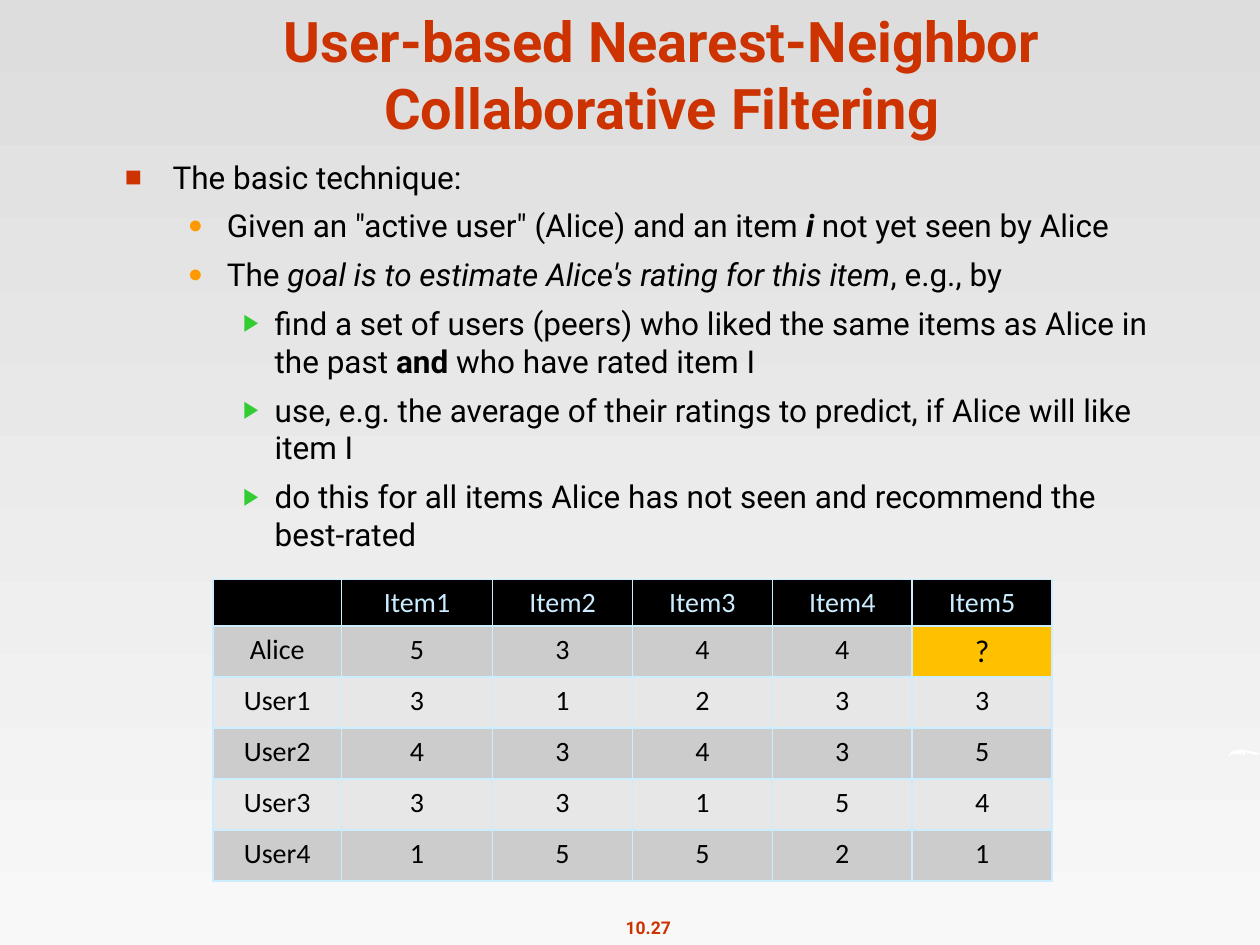
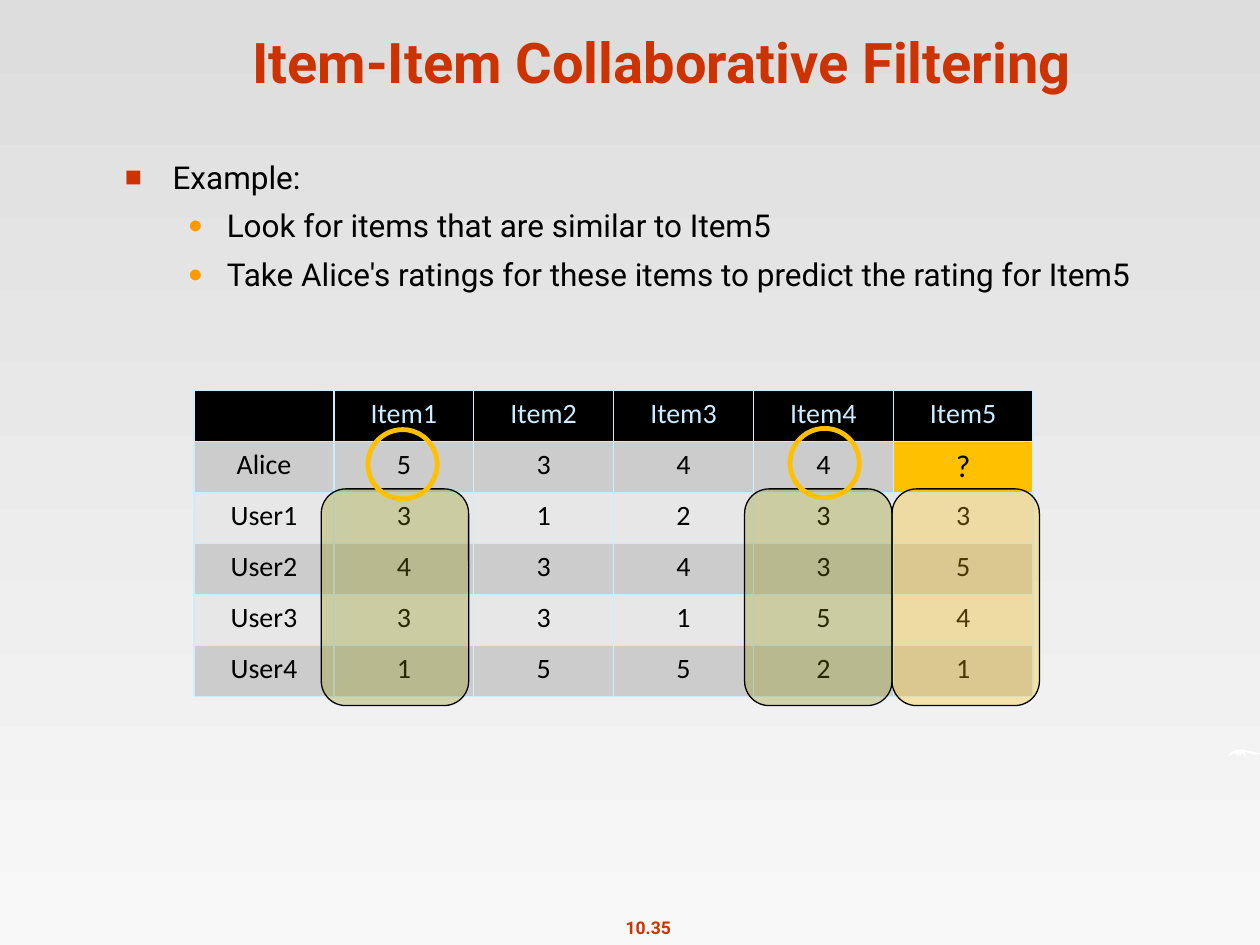
from lxml.etree import SubElement
from pptx import Presentation
from pptx.dml.color import RGBColor
from pptx.enum.shapes import MSO_SHAPE as Preset
from pptx.enum.text import MSO_ANCHOR as Anchor, MSO_AUTO_SIZE as AutoSize, PP_ALIGN as Align
from pptx.oxml.ns import qn
from pptx.util import Inches, Pt

RED = RGBColor(0xCC, 0x33, 0x00)
ORANGE = RGBColor(0xFF, 0x99, 0x00)
GREEN = RGBColor(0x33, 0xCC, 0x33)
AMBER = RGBColor(0xFF, 0xC0, 0x00)
OLIVE = RGBColor(0x8B, 0x8B, 0x00)
BLACK = RGBColor(0x00, 0x00, 0x00)
WHITE = RGBColor(0xFF, 0xFF, 0xFF)
ICE = RGBColor(0xCC, 0xEC, 0xFF)
DARK_BAND = RGBColor(0xCC, 0xCC, 0xCC)
LIGHT_BAND = RGBColor(0xE7, 0xE7, 0xE7)
BACK_TOP = RGBColor(0xDD, 0xDD, 0xDD)
BACK_BOTTOM = RGBColor(0xF8, 0xF8, 0xF8)

TEXT_FONT = "Roboto"
TABLE_FONT = "Calibri"

BULLETS = [
    ("■", RED, 90, 0.38, 0.38),
    ("●", ORANGE, 80, 0.81, 0.31),
    ("▶", GREEN, 75, 1.19, 0.25),
]

RATINGS = [
    ["", "Item1", "Item2", "Item3", "Item4", "Item5"],
    ["Alice", "5", "3", "4", "4", "?"],
    ["User1", "3", "1", "2", "3", "3"],
    ["User2", "4", "3", "4", "3", "5"],
    ["User3", "3", "3", "1", "5", "4"],
    ["User4", "1", "5", "5", "2", "1"],
]

SWOOSH = [
    (9.75, 6.01), (9.76, 5.98), (9.79, 5.96), (9.83, 5.95), (9.87, 5.95),
    (9.91, 5.96), (9.96, 5.97), (10, 5.98), (9.99, 5.99), (9.96, 5.99),
    (9.92, 5.98), (9.88, 5.97), (9.88, 6), (9.85, 5.97), (9.85, 6),
    (9.82, 5.97), (9.83, 6), (9.8, 5.98), (9.77, 5.99),
]


def place(shape, left, top, width, height):
    shape.left, shape.top = Inches(left), Inches(top)
    shape.width, shape.height = Inches(width), Inches(height)


def add_span(para, text, size, color, font=TEXT_FONT, bold=False, italic=False):
    span = para.add_run()
    span.text = text
    span.font.size = Pt(size)
    span.font.name = font
    span.font.bold = bold
    span.font.italic = italic
    span.font.color.rgb = color


def set_background(master):
    fill = master.background.fill
    fill.gradient()
    fill.gradient_angle = 270
    for stop, color in zip(fill.gradient_stops, (BACK_TOP, BACK_BOTTOM)):
        stop.color.rgb = color


def add_swoosh(page):
    points = [(Inches(x), Inches(y)) for x, y in SWOOSH]
    builder = page.shapes.build_freeform(*points[0])
    builder.add_line_segments(points[1:], close=True)
    swoosh = builder.convert_to_shape()
    swoosh.shadow.inherit = False
    swoosh.fill.solid()
    swoosh.fill.fore_color.rgb = WHITE
    swoosh.line.fill.background()


def add_page_number(page, number):
    box = page.shapes.add_textbox(Inches(4.86), Inches(7.23), Inches(0.57), Inches(0.27))
    box.text_frame.word_wrap = False
    para = box.text_frame.paragraphs[0]
    para.alignment = Align.CENTER
    add_span(para, number, 10, RED, bold=True)


def set_title(page, text, top):
    title = page.shapes.title
    place(title, 0.84, top, 8.83, 0.67)
    frame = title.text_frame
    frame.auto_size = AutoSize.NONE
    frame.vertical_anchor = Anchor.BOTTOM
    para = frame.paragraphs[0]
    para.alignment = Align.CENTER
    add_span(para, text, 32, RED, bold=True)


def add_page(deck, title, title_top, number):
    page = deck.slides.add_slide(deck.slide_layouts[1])
    add_swoosh(page)
    add_page_number(page, number)
    set_title(page, title, title_top)
    return page


def set_bullet(para, level):
    symbol, color, percent, margin, hanging = BULLETS[level]
    para.level = level
    para.space_before = Pt(6.3)
    props = para._p.get_or_add_pPr()
    props.set("marL", str(Inches(margin)))
    props.set("indent", str(-Inches(hanging)))
    SubElement(SubElement(props, qn("a:buClr")), qn("a:srgbClr"), val=str(color))
    SubElement(props, qn("a:buSzPct"), val=str(percent * 1000))
    SubElement(props, qn("a:buFont"), typeface="Arial")
    SubElement(props, qn("a:buChar"), char=symbol)


def fill_list(page, items):
    body = page.placeholders[1]
    place(body, 0.89, 1.2, 8.38, 5.36)
    frame = body.text_frame
    frame.auto_size = AutoSize.NONE
    for index, (level, *spans) in enumerate(items):
        para = frame.add_paragraph() if index else frame.paragraphs[0]
        set_bullet(para, level)
        for text, style in spans:
            add_span(para, text, 18, BLACK, bold="b" in style, italic="i" in style)


def set_borders(cell):
    props = cell._tc.get_or_add_tcPr()
    for index, side in enumerate(("a:lnL", "a:lnR", "a:lnT", "a:lnB")):
        border = props.makeelement(qn(side), {"w": str(Pt(1))})
        SubElement(SubElement(border, qn("a:solidFill")), qn("a:srgbClr"), val=str(ICE))
        props.insert(index, border)


def format_cell(cell, text, row):
    unknown = text == "?"
    band = BLACK if row == 0 else DARK_BAND if row % 2 else LIGHT_BAND
    cell.fill.solid()
    cell.fill.fore_color.rgb = AMBER if unknown else band
    set_borders(cell)
    para = cell.text_frame.paragraphs[0]
    para.alignment = Align.CENTER
    if text:
        add_span(para, text, 18 if unknown else 16, BLACK if row else ICE, TABLE_FONT)
    else:
        para.font.size = Pt(16)


def add_ratings(page, left, top, widths, header_height):
    heights = [header_height] + [0.405] * (len(RATINGS) - 1)
    frame = page.shapes.add_table(
        len(heights), len(widths), Inches(left), Inches(top),
        Inches(sum(widths)), Inches(sum(heights)))
    table = frame.table
    for column, width in zip(table.columns, widths):
        column.width = Inches(width)
    for row, height in zip(table.rows, heights):
        row.height = Inches(height)
    for row, texts in enumerate(RATINGS):
        for column, text in enumerate(texts):
            format_cell(table.cell(row, column), text, row)


def add_outline(page, preset, left, top, width, height, color, weight):
    shape = page.shapes.add_shape(
        preset, Inches(left), Inches(top), Inches(width), Inches(height))
    shape.shadow.inherit = False
    shape.fill.background()
    shape.line.color.rgb = color
    shape.line.width = Pt(weight)
    return shape


def add_column_highlight(page, left, color):
    shape = add_outline(page, Preset.ROUNDED_RECTANGLE, left, 3.88, 1.17, 1.72, BLACK, 0.75)
    shape.fill.solid()
    shape.fill.fore_color.rgb = color
    tint = shape.element.spPr.find(qn("a:solidFill")).find(qn("a:srgbClr"))
    SubElement(tint, qn("a:alpha"), val="29000")


def add_rating_ring(page, left, top):
    add_outline(page, Preset.OVAL, left, top, 0.55, 0.55, AMBER, 2.75)


def build_user_based(deck):
    page = add_page(deck, "User-based Nearest-Neighbor Collaborative Filtering", 0.5, "10.27")
    fill_list(page, [
        (0, ("The basic technique:", "")),
        (1, ("Given an \"active user\" (Alice) and an item ", ""), ("i", "bi"),
         (" not yet seen by Alice", "")),
        (1, ("The ", ""), ("goal is to estimate Alice's rating for this item", "i"),
         (", e.g., by", "")),
        (2, ("find a set of users (peers) who liked the same items as Alice in the past ", ""),
         ("and ", "b"), ("who have rated item I", "")),
        (2, ("use, e.g. the average of their ratings to predict, "
             "if Alice will like item I", "")),
        (2, ("do this for all items Alice has not seen and recommend the best-rated", "")),
    ])
    add_ratings(page, 1.69, 4.6, [1.02, 1.2] + [1.11] * 4, 0.37)


def build_item_item(deck):
    page = add_page(deck, "Item-Item Collaborative Filtering", 0.13, "10.35")
    fill_list(page, [
        (0, ("Example:", "")),
        (1, ("Look for items that are similar to Item5", "")),
        (1, ("Take Alice's ratings for these items to predict the rating for Item5", "")),
    ])
    add_ratings(page, 1.54, 3.1, [1.11] * 6, 0.405)
    for left, color in ((7.08, AMBER), (2.55, OLIVE), (5.91, OLIVE)):
        add_column_highlight(page, left, color)
    add_rating_ring(page, 2.92, 3.41)
    add_rating_ring(page, 6.27, 3.4)


def main():
    deck = Presentation()
    deck.slide_width, deck.slide_height = Inches(10), Inches(7.5)
    set_background(deck.slide_master)
    build_user_based(deck)
    build_item_item(deck)
    deck.save("out.pptx")


if __name__ == "__main__":
    main()
